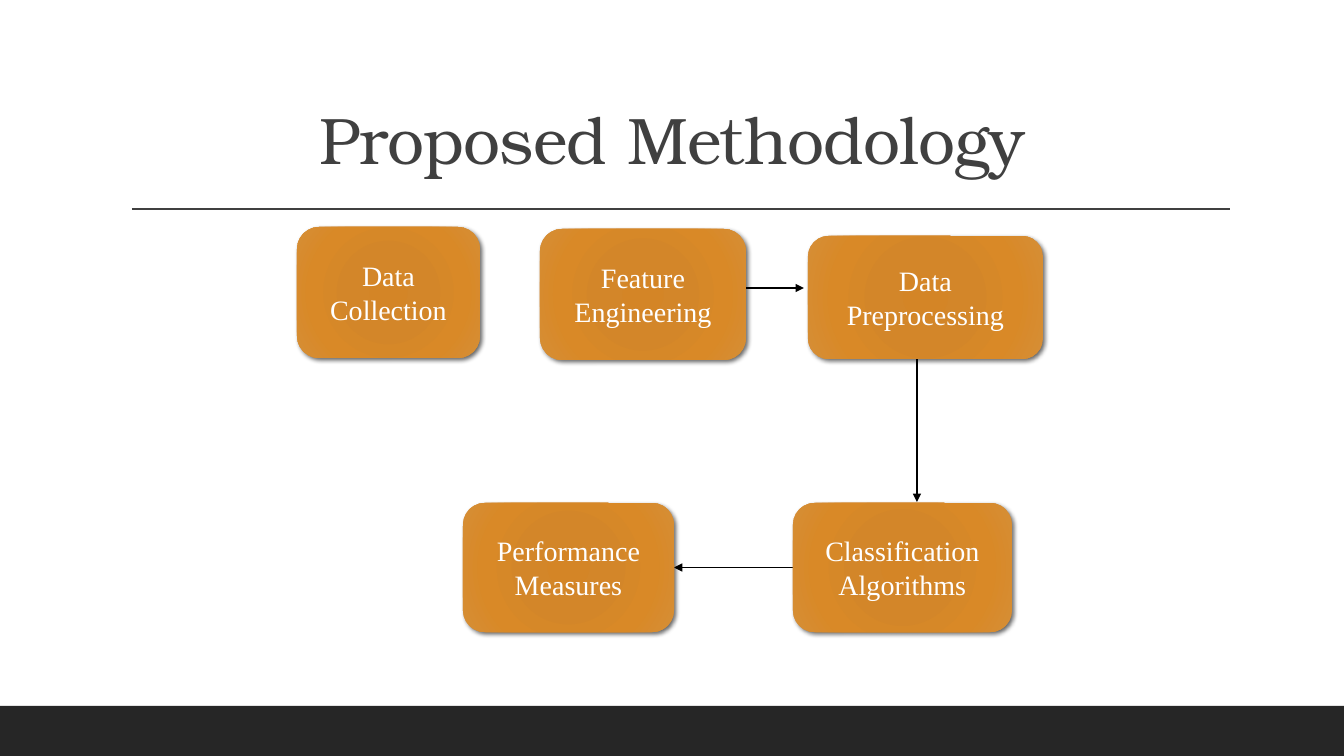
"""Build the Proposed Methodology slide with its five-step flow."""
from dataclasses import dataclass
from typing import Optional

from pptx import Presentation
from pptx.dml.color import RGBColor
from pptx.enum.shapes import MSO_CONNECTOR as Line, MSO_SHAPE as Preset
from pptx.enum.text import MSO_ANCHOR as Anchor, PP_ALIGN as Align
from pptx.oxml import parse_xml
from pptx.oxml.ns import nsdecls, qn
from pptx.util import Emu, Pt

EMU_PER_PX = 12192000 / 1344
COLOURS = {"footer": "262626", "title": "404040", "arrow": "000000",
           "shadow": "000000", "label": "FFFFFF"}
GLOW = {0: "D48526", 34: "D38629", 70: "D98927", 100: "D58E37"}
LEFT_SIDE, RIGHT_SIDE = 1, 3


@dataclass(frozen=True)
class Step:
    lines: tuple[str, ...]
    left: int
    top: int
    width: int
    height: int


@dataclass(frozen=True)
class Arrow:
    start: tuple[int, int]
    end: tuple[int, int]
    source: Optional[str] = None
    target: Optional[str] = None


STEPS = {
    "collection": Step(("Data Collection",), 297, 227, 183, 131),
    "preprocessing": Step(("Data Preprocessing",), 808, 236, 235, 123),
    "classification": Step(("Classification", "Algorithms"), 793, 503, 219, 129),
    "features": Step(("Feature Engineering",), 540, 229, 206, 131),
    "performance": Step(("Performance Measures",), 463, 503, 211, 129),
}
ARROWS = (
    Arrow((733, 288), (804, 288)),
    Arrow((793, 568), (674, 568), "classification", "performance"),
    Arrow((917, 330), (917, 502)),
)


def px(length: float) -> Emu:
    """Turn px into EMU."""
    return Emu(round(length * EMU_PER_PX))


def colour(name: str) -> RGBColor:
    """Look up a named colour."""
    return RGBColor.from_string(COLOURS[name])


def add_span(para, text: str, font: str, size: int, shade: str):
    """Add one centred run of text."""
    para.alignment = Align.CENTER
    span = para.add_run()
    span.text = text
    span.font.name, span.font.size = font, Pt(size)
    span.font.color.rgb = colour(shade)
    return span


def add_line(page, start: tuple[int, int], end: tuple[int, int], shade: str):
    """Draw a plain straight line."""
    line = page.shapes.add_connector(
        Line.STRAIGHT, px(start[0]), px(start[1]), px(end[0]), px(end[1]))
    line.line.color.rgb = colour(shade)
    line.line.width = Pt(1)
    line._element.spPr.append(parse_xml(f"<a:effectLst {nsdecls('a')}/>"))
    return line


def add_arrow(page, arrow: Arrow):
    """Draw a line with a triangle at its end."""
    line = add_line(page, arrow.start, arrow.end, "arrow")
    line.line._get_or_add_ln().append(
        parse_xml(f'<a:tailEnd {nsdecls("a")} type="triangle"/>'))
    return line


def add_glow(box) -> None:
    """Give a box its radial fill and soft shadow."""
    stops = "".join(f'<a:gs pos="{at * 1000}"><a:srgbClr val="{shade}"/></a:gs>'
                    for at, shade in GLOW.items())
    box.fill.gradient()
    props = box._element.spPr
    props.replace(props.find(qn("a:gradFill")), parse_xml(
        f'<a:gradFill {nsdecls("a")} rotWithShape="1"><a:gsLst>{stops}</a:gsLst>'
        '<a:path path="circle"><a:fillToRect l="100000" t="100000" '
        'r="100000" b="100000"/></a:path></a:gradFill>'))
    box.line.fill.background()
    box.shadow.inherit = False
    props.find(qn("a:effectLst")).append(parse_xml(
        f'<a:outerShdw {nsdecls("a")} blurRad="{Pt(3.5)}" dist="{Pt(2)}" '
        f'dir="2700000" rotWithShape="0"><a:srgbClr val="{COLOURS["shadow"]}">'
        '<a:alpha val="60000"/></a:srgbClr></a:outerShdw>'))


def add_step(page, step: Step):
    """Draw one rounded step box with its label."""
    box = page.shapes.add_shape(Preset.ROUNDED_RECTANGLE, px(step.left),
                                px(step.top), px(step.width), px(step.height))
    add_glow(box)
    frame = box.text_frame
    frame.word_wrap, frame.vertical_anchor = True, Anchor.MIDDLE
    for index, text in enumerate(step.lines):
        para = frame.add_paragraph() if index else frame.paragraphs[0]
        add_span(para, text, "Times New Roman", 20, "label")
    return box


def add_title(page, text: str) -> None:
    """Draw the heading above the rule."""
    box = page.shapes.add_textbox(px(118), px(24), px(1109), px(160))
    frame = box.text_frame
    frame.word_wrap, frame.vertical_anchor = True, Anchor.BOTTOM
    para = frame.paragraphs[0]
    para.line_spacing = 0.9
    span = add_span(para, text, "TeX Gyre Bonum", 47, "title")
    span.font._element.set("spc", "-50")


def add_footer(page) -> None:
    """Draw the dark band along the bottom."""
    band = page.shapes.add_shape(Preset.RECTANGLE, 0, px(706), px(1344), px(50))
    band.fill.solid()
    band.fill.fore_color.rgb = colour("footer")
    band.line.fill.background()
    band.shadow.inherit = False


def main() -> None:
    """Build and save the deck."""
    deck = Presentation()
    deck.slide_width, deck.slide_height = px(1344), px(756)
    page = deck.slides.add_slide(deck.slide_layouts[6])
    add_footer(page)
    add_line(page, (132, 209), (1230, 209), "title")
    add_title(page, "Proposed Methodology")
    lines = [add_arrow(page, arrow) for arrow in ARROWS]
    boxes = {name: add_step(page, step) for name, step in STEPS.items()}
    for arrow, line in zip(ARROWS, lines):
        if arrow.source and arrow.target:
            line.begin_connect(boxes[arrow.source], LEFT_SIDE)
            line.end_connect(boxes[arrow.target], RIGHT_SIDE)
    deck.save("out.pptx")


if __name__ == "__main__":
    main()
